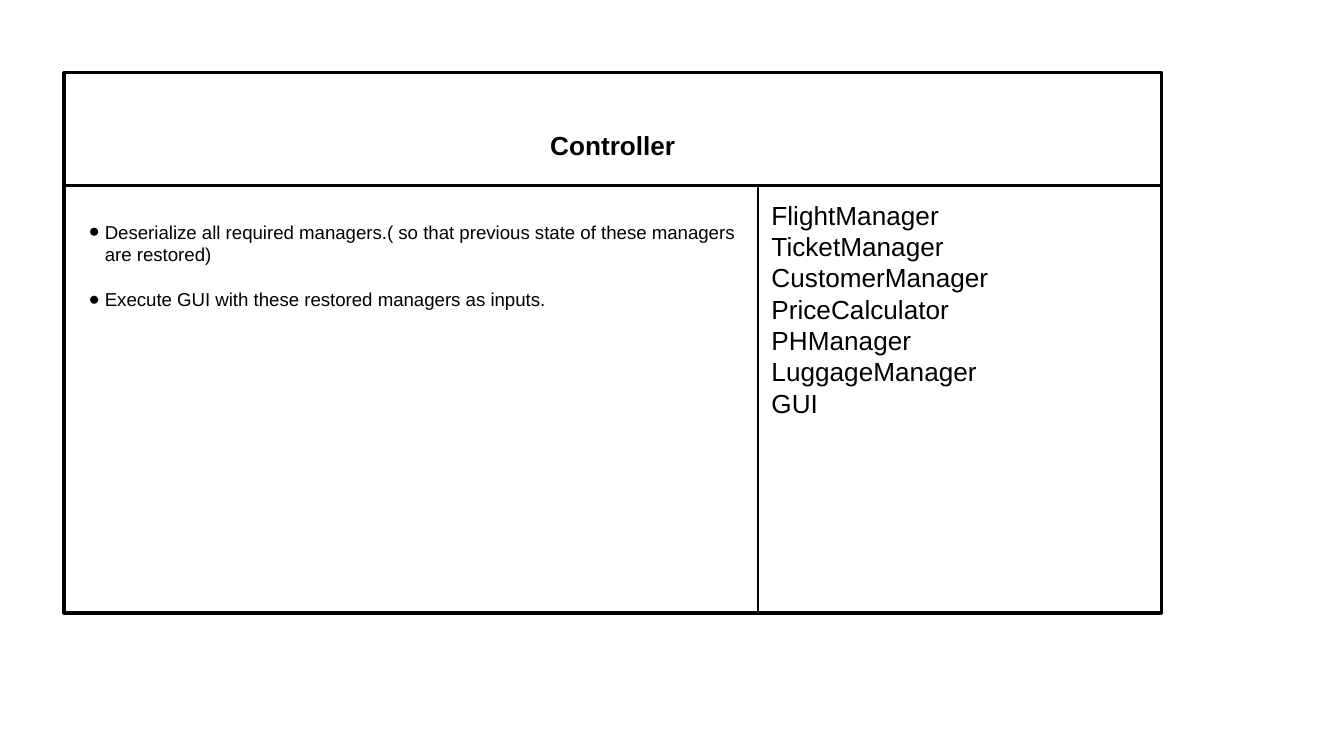
from dataclasses import dataclass

from lxml import etree
from pptx import Presentation, util as u
from pptx.dml.color import RGBColor
from pptx.enum import shapes, text
from pptx.oxml.ns import qn

# Widescreen, 16 to 9
WIDE = 10
HIGH = WIDE * 9 / 16
HEX = {"ink": "000000", "paper": "FFFFFF"}

# Card grid: edges of its columns and rows, in inches
COLS = (0.48, 5.64, 8.64)
ROWS = (0.54, 1.38, 4.56)
PAD = 0.1


@dataclass
class Cell:
    slot: int
    col: int
    row: int
    span: int
    lines: tuple[str, ...]
    size: int
    top: float = PAD
    gap: int = 0
    bold: bool = False
    dots: bool = False
    align: text.PP_ALIGN = text.PP_ALIGN.LEFT
    anchor: text.MSO_ANCHOR = text.MSO_ANCHOR.TOP


CELLS = (
    Cell(0, 0, 0, 2, ("Controller",), 14, top=0.34, bold=True,
         align=text.PP_ALIGN.CENTER, anchor=text.MSO_ANCHOR.MIDDLE),
    Cell(1, 0, 1, 1, (
        "Deserialize all required managers.( so that previous state of "
        "these managers are restored)",
        "Execute GUI with these restored managers as inputs.",
    ), 10, top=0.26, gap=12, dots=True),
    Cell(2, 1, 1, 1, (
        "FlightManager", "TicketManager", "CustomerManager",
        "PriceCalculator", "PHManager", "LuggageManager", "GUI",
    ), 14),
)


def tint(name: str) -> RGBColor:
    return RGBColor.from_string(HEX[name])


def apply(obj, form: dict) -> None:
    for key, val in form.items():
        setattr(obj, key, val)


def paint(box, width: float) -> None:
    box.fill.solid()
    box.fill.fore_color.rgb = tint("paper")
    box.line.color.rgb = tint("ink")
    box.line.width = u.Pt(width)


def place(box, col: int, row: int, span: int, deep: int) -> None:
    left, top = COLS[col], ROWS[row]
    apply(box, {
        "left": u.Inches(left), "top": u.Inches(top),
        "width": u.Inches(COLS[col + span] - left),
        "height": u.Inches(ROWS[row + deep] - top),
    })


def mark(para, dots: bool) -> None:
    """Set the hanging bullet, or switch bullets off."""
    props = para._p.get_or_add_pPr()
    props.set("marL", str(u.Inches(0.2 if dots else 0)))
    props.set("indent", str(u.Inches(-0.12 if dots else 0)))
    if dots:
        hue = etree.SubElement(props, qn("a:buClr"))
        etree.SubElement(hue, qn("a:srgbClr"), val=HEX["ink"])
        etree.SubElement(props, qn("a:buFont"), typeface="Arial")
        etree.SubElement(props, qn("a:buChar"), char="●")
    else:
        etree.SubElement(props, qn("a:buNone"))


def fill(box, cell: Cell) -> None:
    place(box, cell.col, cell.row, cell.span, 1)
    paint(box, 1.5)
    frame = box.text_frame
    frame.text = "\n".join(cell.lines)
    apply(frame, {
        "word_wrap": True, "auto_size": text.MSO_AUTO_SIZE.NONE,
        "vertical_anchor": cell.anchor, "margin_top": u.Inches(cell.top),
        "margin_left": u.Inches(PAD), "margin_right": u.Inches(PAD),
        "margin_bottom": u.Inches(PAD),
    })
    for num, para in enumerate(frame.paragraphs):
        mark(para, cell.dots)
        apply(para, {
            "alignment": cell.align, "space_after": u.Pt(0),
            "space_before": u.Pt(cell.gap if num else 0),
        })
        for run in para.runs:
            apply(run.font, {"name": "Arial", "size": u.Pt(cell.size),
                             "bold": cell.bold})
            run.font.color.rgb = tint("ink")


def main() -> None:
    deck = Presentation()
    apply(deck, {"slide_width": u.Inches(WIDE),
                 "slide_height": u.Inches(HIGH)})
    # Two-content layout: a title and two lists
    slide = deck.slides.add_slide(deck.slide_layouts[3])

    # Heavy card frame, behind the cells
    card = slide.shapes.add_shape(shapes.MSO_SHAPE.RECTANGLE, 0, 0, 0, 0)
    card.shadow.inherit = False
    place(card, 0, 0, 2, 2)
    paint(card, 2.25)
    slide.shapes.title._element.addprevious(card._element)

    # Class name, duties and partners
    for cell in CELLS:
        fill(slide.placeholders[cell.slot], cell)

    deck.save("out.pptx")


if __name__ == "__main__":
    main()
